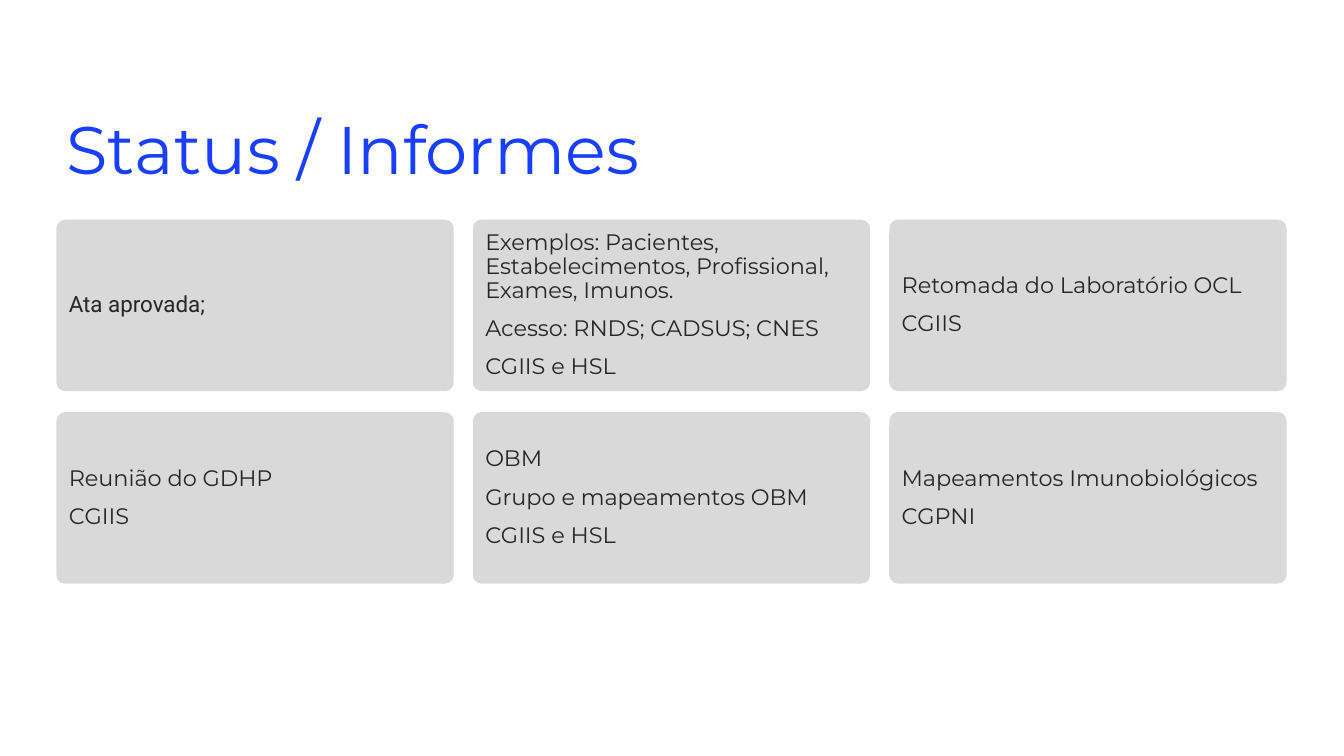
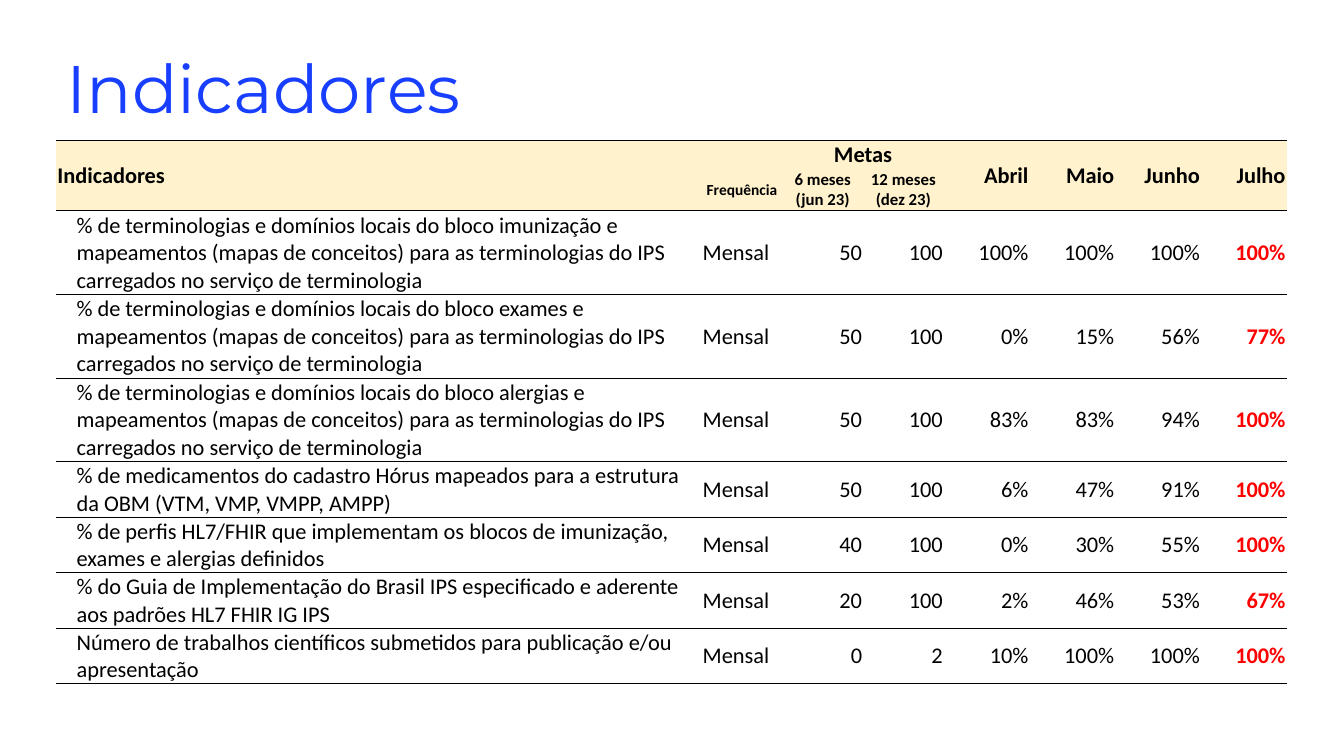
from dataclasses import dataclass

from lxml.etree import SubElement
from pptx import Presentation
from pptx.dml.color import RGBColor
from pptx.enum.shapes import MSO_SHAPE
from pptx.enum.text import MSO_ANCHOR, PP_ALIGN
from pptx.oxml.ns import qn
from pptx.util import Inches, Pt


@dataclass(frozen=True)
class Theme:
    title_color: str = "183EFF"
    card_fill: str = "D9D9D9"
    card_text: str = "262626"
    header_fill: str = "FFF2CC"
    table_text: str = "000000"
    highlight: str = "FF0000"
    main_font: str = "Montserrat"
    alt_font: str = "Roboto"
    table_font: str = "Calibri"
    title_size: int = 48
    body_size: int = 16
    goal_size: int = 12
    small_size: int = 11
    line_spacing: float = 0.9
    paragraph_gap: int = 10
    rule_width: float = 0.5


THEME = Theme()
LEFT = 0.56
NO_TABLE_STYLE = "{2D5ABB26-0587-4C30-8999-92F81FD0307C}"

CARDS = [
    [
        ["Ata aprovada;"],
        ["Exemplos: Pacientes, Estabelecimentos, Profissional, Exames, Imunos.",
         "Acesso: RNDS; CADSUS; CNES", "CGIIS e HSL"],
        ["Retomada do Laboratório OCL", "CGIIS"],
    ],
    [
        ["Reunião do GDHP", "CGIIS"],
        ["OBM", "Grupo e mapeamentos OBM", "CGIIS e HSL"],
        ["Mapeamentos Imunobiológicos", "CGPNI"],
    ],
]

HEADERS = [
    ["Indicadores", "", "Metas", "", "Abril", "Maio", "Junho", "Julho"],
    ["", "Frequência", "6 meses (jun 23)", "12 meses (dez 23)", "", "", "", ""],
]
MAPPING = ("% de terminologias e domínios locais do bloco {} e mapeamentos "
           "(mapas de conceitos) para as terminologias do IPS carregados "
           "no serviço de terminologia")
INDICATORS = [
    [MAPPING.format("imunização"), "Mensal", "50", "100", "100%", "100%", "100%", "100%"],
    [MAPPING.format("exames"), "Mensal", "50", "100", "0%", "15%", "56%", "77%"],
    [MAPPING.format("alergias"), "Mensal", "50", "100", "83%", "83%", "94%", "100%"],
    ["% de medicamentos do cadastro Hórus mapeados para a estrutura da OBM "
     "(VTM, VMP, VMPP, AMPP)", "Mensal", "50", "100", "6%", "47%", "91%", "100%"],
    ["% de perfis HL7/FHIR que implementam os blocos de imunização, exames e "
     "alergias definidos", "Mensal", "40", "100", "0%", "30%", "55%", "100%"],
    ["% do Guia de Implementação do Brasil IPS especificado e aderente aos "
     "padrões HL7 FHIR IG IPS", "Mensal", "20", "100", "2%", "46%", "53%", "67%"],
    ["Número de trabalhos científicos submetidos para publicação e/ou "
     "apresentação", "Mensal", "0", "2", "10%", "100%", "100%", "100%"],
]
COLUMN_WIDTHS = [6.4] + [0.8] * 3 + [0.85] * 4
ROW_HEIGHTS = [0.28, 0.42] + [0.83] * 3 + [0.55] * 4


def set_font(p, name, size, color, bold=False):
    p.font.name = name
    p.font.size = Pt(size)
    p.font.bold = bold
    p.font.color.rgb = RGBColor.from_string(color)


def write_lines(tf, lines, font, size, color):
    tf.word_wrap = True
    for i, line in enumerate(lines):
        p = tf.add_paragraph() if i else tf.paragraphs[0]
        p.text = line
        p.alignment = PP_ALIGN.LEFT
        p.line_spacing = THEME.line_spacing
        p.space_before = Pt(THEME.paragraph_gap if i else 0)
        set_font(p, font, size, color)


def add_title(s, text, top):
    box = s.shapes.add_textbox(Inches(LEFT), Inches(top), Inches(8.73), Inches(0.65))
    write_lines(box.text_frame, [text], THEME.main_font, THEME.title_size,
                THEME.title_color)


def add_card(s, left, top, width, height, lines, font):
    sp = s.shapes.add_shape(MSO_SHAPE.ROUNDED_RECTANGLE, Inches(left), Inches(top),
                            Inches(width), Inches(height))
    sp.adjustments[0] = 0.05
    sp.shadow.inherit = False
    sp.fill.solid()
    sp.fill.fore_color.rgb = RGBColor.from_string(THEME.card_fill)
    sp.line.fill.background()
    sp.text_frame.vertical_anchor = MSO_ANCHOR.MIDDLE
    write_lines(sp.text_frame, lines, font, THEME.body_size, THEME.card_text)


def add_card_grid(s, left, top, width, height, rows):
    gap_x, gap_y = 0.19, 0.21
    card_w = (width - gap_x * (len(rows[0]) - 1)) / len(rows[0])
    card_h = (height - gap_y * (len(rows) - 1)) / len(rows)
    for r, row in enumerate(rows):
        for c, lines in enumerate(row):
            font = THEME.alt_font if r == c == 0 else THEME.main_font
            add_card(s, left + c * (card_w + gap_x), top + r * (card_h + gap_y),
                     card_w, card_h, lines, font)


def add_rules(cell, sides):
    """Draw the cell's borders on the given sides, top before bottom."""
    tc_pr = cell._tc.get_or_add_tcPr()
    for side in sides:
        ln = SubElement(tc_pr, qn(f"a:ln{side}"), w=str(Pt(THEME.rule_width)))
        fill = SubElement(ln, qn("a:solidFill"))
        SubElement(fill, qn("a:srgbClr"), val=THEME.table_text)


def write_cell(cell, text, align, size, color, bold):
    cell.vertical_anchor = MSO_ANCHOR.MIDDLE
    cell.margin_left = cell.margin_right = cell.margin_top = Inches(0.01)
    cell.margin_bottom = 0
    p = cell.text_frame.paragraphs[0]
    if text:
        p.text = text
    p.alignment = align
    set_font(p, THEME.table_font, size, color, bold)


def header_cell(cell, r, c, text):
    spans_rows = cell.is_merge_origin and cell.span_height == 2
    add_rules(cell, "TB" if spans_rows else "TB"[r])
    cell.fill.solid()
    cell.fill.fore_color.rgb = RGBColor.from_string(THEME.header_fill)
    align = (PP_ALIGN.LEFT if c == 0 else
             PP_ALIGN.CENTER if c < 4 else PP_ALIGN.RIGHT)
    size = THEME.body_size
    if r == 1 or not text:
        size = THEME.small_size if c < 2 else THEME.goal_size
    write_cell(cell, text, align, size, THEME.table_text, True)


def indicator_cell(cell, c, text):
    add_rules(cell, "TB")
    cell.fill.background()
    latest = c == len(COLUMN_WIDTHS) - 1
    write_cell(cell, text, PP_ALIGN.LEFT if c < 2 else PP_ALIGN.RIGHT, THEME.body_size,
               THEME.highlight if latest else THEME.table_text, latest)
    if c == 0:
        cell.margin_left = Inches(0.2)


def add_indicator_table(s, left, top):
    frame = s.shapes.add_table(len(ROW_HEIGHTS), len(COLUMN_WIDTHS), Inches(left),
                               Inches(top), Inches(sum(COLUMN_WIDTHS)),
                               Inches(sum(ROW_HEIGHTS)))
    table = frame.table
    table.first_row = table.horz_banding = False
    table._tbl.tblPr.find(qn("a:tableStyleId")).text = NO_TABLE_STYLE
    for column, width in zip(table.columns, COLUMN_WIDTHS):
        column.width = Inches(width)
    for row, height in zip(table.rows, ROW_HEIGHTS):
        row.height = Inches(height)

    for c in (0, 4, 5, 6, 7):
        table.cell(0, c).merge(table.cell(1, c))
    table.cell(0, 2).merge(table.cell(0, 3))

    for r, texts in enumerate(HEADERS + INDICATORS):
        for c, text in enumerate(texts):
            cell = table.cell(r, c)
            if r < len(HEADERS):
                header_cell(cell, r, c, text)
            else:
                indicator_cell(cell, c, text)


def status_slide(prs):
    s = prs.slides.add_slide(prs.slide_layouts[6])
    add_title(s, "Status / Informes", 1.11)
    add_card_grid(s, LEFT, 2.18, 12.2, 3.61, CARDS)


def indicators_slide(prs):
    s = prs.slides.add_slide(prs.slide_layouts[6])
    add_title(s, "Indicadores", 0.5)
    add_indicator_table(s, LEFT, 1.39)


def main():
    prs = Presentation()
    prs.slide_width, prs.slide_height = Inches(13.33), Inches(7.5)
    status_slide(prs)
    indicators_slide(prs)
    prs.save("out.pptx")


if __name__ == "__main__":
    main()
